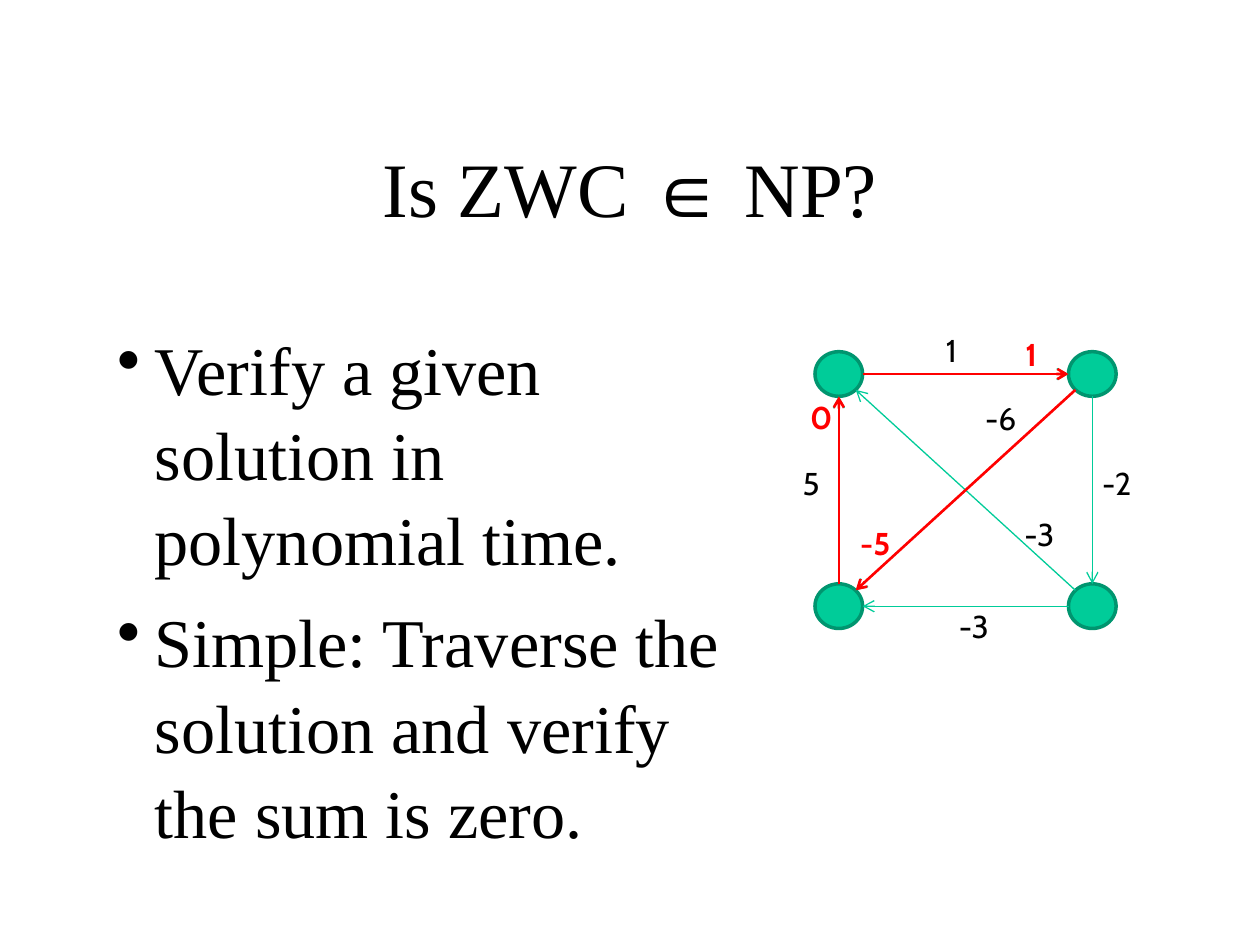
import pptx
import pptx.dml.color
import pptx.enum.shapes
import pptx.enum.text
import pptx.oxml
import pptx.util
from lxml import etree

Cm, Pt = pptx.util.Cm, pptx.util.Pt
RGBColor = pptx.dml.color.RGBColor
BLACK = RGBColor(0x00, 0x00, 0x00)
RED = RGBColor(0xFF, 0x00, 0x00)
GREEN = RGBColor(0x00, 0xCC, 0x99)
DARK_GREEN = RGBColor(0x00, 0x95, 0x6F)
SERIF, SYMBOL, LABEL = "Times New Roman", "Arial", "Cabin"

# Graph geometry in cm: node centres and half axes
NODE_RX, NODE_RY = 0.48, 0.45
NODES = {(col, row): (x, y)
         for col, x in enumerate((16.91, 22.02))
         for row, y in enumerate((7.54, 12.22))}
TL, TR, BL, BR = (0, 0), (1, 0), (0, 1), (1, 1)


def sign(value):
    return (value > 0) - (value < 0)


class Deck:
    """Style of the slide and the shapes being drawn on."""

    def __init__(self):
        self.prs = pptx.Presentation()
        self.prs.slide_width, self.prs.slide_height = Cm(25.4), Cm(19.05)
        self.s = self.prs.slides.add_slide(self.prs.slide_layouts[5])
        self.shapes = self.s.shapes

    def font(self, p, size, color=BLACK, name=None, bold=None):
        p.font.size, p.font.bold, p.font.color.rgb = Pt(size), bold, color
        if name:
            p.font.name = name

    def title(self, runs, left, top, width, height):
        sp = self.s.shapes.title
        sp.left, sp.top, sp.width, sp.height = map(Cm, (left, top, width, height))
        tf = sp.text_frame
        tf.vertical_anchor = pptx.enum.text.MSO_ANCHOR.BOTTOM
        tf.auto_size = pptx.enum.text.MSO_AUTO_SIZE.NONE
        p = tf.paragraphs[0]
        p.alignment = pptx.enum.text.PP_ALIGN.CENTER
        p.line_spacing = 0.96
        self.font(p, 44)
        for text, name in runs:
            r = p.add_run()
            r.text, r.font.name = text, name

    def bullets(self, items, left, top, width, height):
        sp = self.shapes.add_textbox(*map(Cm, (left, top, width, height)))
        tf = sp.text_frame
        tf.word_wrap = True
        for i, item in enumerate(items):
            p = tf.add_paragraph() if i else tf.paragraphs[0]
            p.text = item
            p.space_before, p.line_spacing = Pt(9.8), 1.04
            self.font(p, 39, name=SERIF)
            pPr = p._p.get_or_add_pPr()
            pPr.set("marL", str(Cm(0.76)))
            pPr.set("indent", str(-Cm(0.76)))
            bullet = pptx.oxml.parse_xml(
                '<a:buChar xmlns:a="http://schemas.openxmlformats.org/'
                'drawingml/2006/main" char="•"/>')
            pPr.find(pptx.oxml.ns.qn("a:defRPr")).addprevious(bullet)

    def node(self, x, y):
        sp = self.shapes.add_shape(
            pptx.enum.shapes.MSO_SHAPE.OVAL, Cm(x - NODE_RX), Cm(y - NODE_RY),
            Cm(2 * NODE_RX), Cm(2 * NODE_RY))
        sp.shadow.inherit = False
        sp.fill.solid()
        sp.fill.fore_color.rgb = GREEN
        sp.line.color.rgb, sp.line.width = DARK_GREEN, Pt(2)

    def edge(self, start, end, color=GREEN, width=0.75):
        """Arrow from the rim of one node to the rim of another."""
        (x1, y1), (x2, y2) = NODES[start], NODES[end]
        dx, dy = sign(x2 - x1), sign(y2 - y1)
        scale = 0.71 if dx and dy else 1
        rx, ry = dx * NODE_RX * scale, dy * NODE_RY * scale
        line = self.shapes.add_connector(
            pptx.enum.shapes.MSO_CONNECTOR.STRAIGHT,
            Cm(x1 + rx), Cm(y1 + ry), Cm(x2 - rx), Cm(y2 - ry))
        line.line.color.rgb, line.line.width = color, Pt(width)
        qn = pptx.oxml.ns.qn
        etree.SubElement(line.line._get_or_add_ln(), qn("a:tailEnd"), type="arrow")
        etree.SubElement(line._element.spPr, qn("a:effectLst"))

    def label(self, text, left, top, color=BLACK, bold=None):
        width = 1.32 if len(text) > 1 else 0.94
        sp = self.shapes.add_textbox(Cm(left), Cm(top), Cm(width), Cm(1.02))
        tf = sp.text_frame
        tf.word_wrap = True
        p = tf.paragraphs[0]
        p.text = text
        self.font(p, 18, color, LABEL, bold)


def main():
    deck = Deck()

    # Title and argument
    deck.title([("Is ZWC ", SERIF), ("∈", SYMBOL), (" NP?", SERIF)],
               1.9, 1.7, 21.6, 3.18)
    deck.bullets(["Verify a given solution in polynomial time.",
                  "Simple: Traverse the solution and verify the sum is zero."],
                 2.11, 6.4, 12.98, 10.54)

    # Weighted graph, kept together as a group
    deck.shapes = deck.s.shapes.add_group_shape().shapes
    for x, y in NODES.values():
        deck.node(x, y)
    for start, end in [(BL, TL), (TR, BR), (BR, BL), (TL, TR), (TR, BL), (BR, TL)]:
        deck.edge(start, end)
    for text, left, top in [("1", 18.82, 6.55), ("-2", 21.97, 9.22),
                            ("-3", 19.08, 12.12), ("5", 15.93, 9.22),
                            ("-6", 19.61, 7.92), ("-3", 20.4, 10.26)]:
        deck.label(text, left, top)

    # Zero-weight cycle with its running sums
    deck.shapes = deck.s.shapes
    for start, end in [(TL, TR), (BL, TL), (TR, BL)]:
        deck.edge(start, end, RED, 1.5)
    for text, left, top in [("1", 20.42, 6.63), ("-5", 17.09, 10.44),
                            ("0", 16.08, 7.9)]:
        deck.label(text, left, top, RED, True)

    deck.prs.save("out.pptx")


if __name__ == "__main__":
    main()
